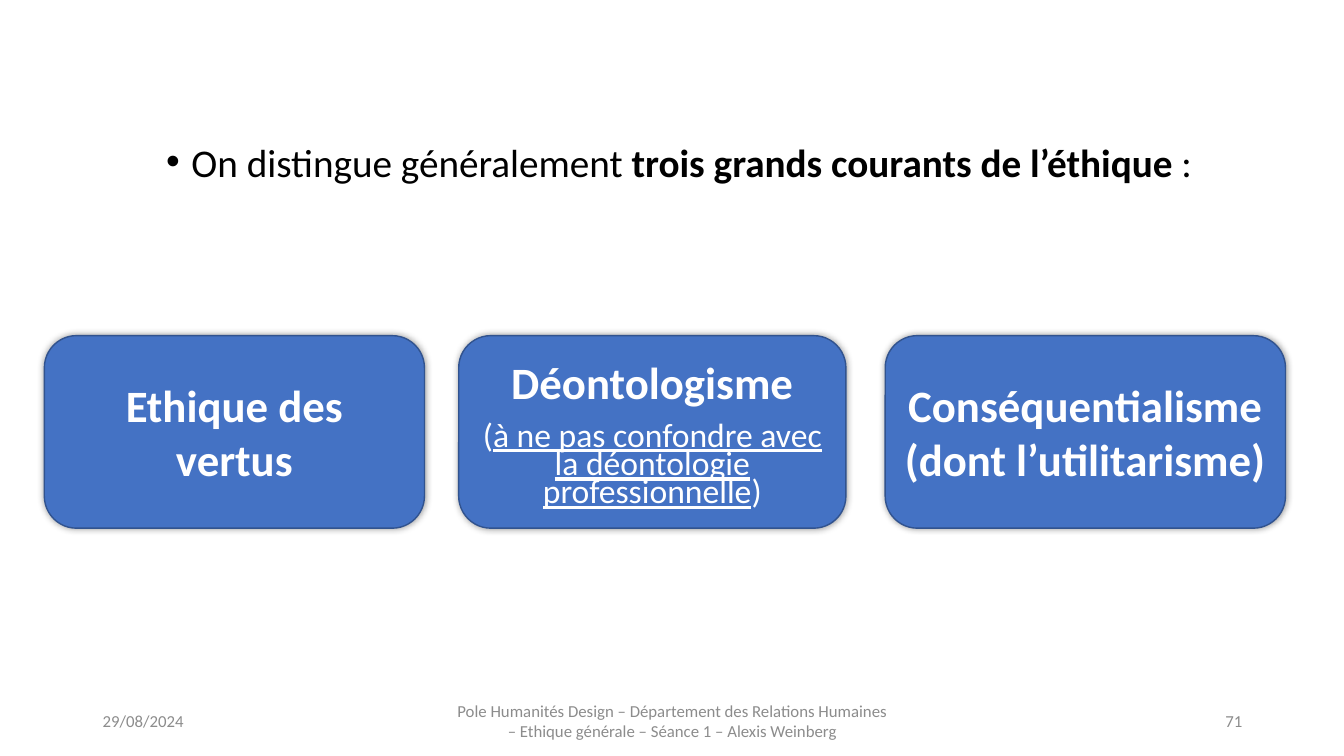
from dataclasses import dataclass

from lxml import etree
from pptx import Presentation
from pptx.dml.color import RGBColor
from pptx.enum.shapes import MSO_SHAPE
from pptx.enum.text import MSO_ANCHOR, MSO_AUTO_SIZE, PP_ALIGN
from pptx.oxml.ns import qn
from pptx.util import Inches, Pt

ROUND = MSO_SHAPE.ROUNDED_RECTANGLE
TOP, MIDDLE = MSO_ANCHOR.TOP, MSO_ANCHOR.MIDDLE
LEFT, CENTER, RIGHT = PP_ALIGN.LEFT, PP_ALIGN.CENTER, PP_ALIGN.RIGHT
NO_FIT = MSO_AUTO_SIZE.NONE


@dataclass(frozen=True)
class Theme:
    font: str = "Calibri"
    black: str = "000000"
    white: str = "FFFFFF"
    grey: str = "8C8C8C"
    blue: str = "4472C4"
    edge: str = "31538F"
    lead: int = 28
    head: int = 32
    note: int = 24
    foot: int = 12


@dataclass(frozen=True)
class Part:
    text: str
    bold: bool = False
    line: bool = False


@dataclass(frozen=True)
class Card:
    left: float
    width: float
    title: str
    note: tuple[Part, ...] = ()


@dataclass(frozen=True)
class Foot:
    left: float
    width: float
    text: str
    align: PP_ALIGN


THEME = Theme()
CARD_TOP, CARD_HIGH = 3.33, 1.91
FOOT_TOP, FOOT_HIGH = 6.95, 0.4

LEAD = (
    Part("On distingue généralement "),
    Part("trois grands courants de l’éthique ", bold=True),
    Part(":"),
)
CARDS = (
    Card(0.44, 3.77, "Ethique des vertus"),
    Card(4.55, 3.84, "Déontologisme", (
        Part("("),
        Part("à ne pas confondre avec la déontologie professionnelle", line=True),
        Part(")"),
    )),
    Card(8.78, 3.97, "Conséquentialisme (dont l’utilitarisme)"),
)
FEET = (
    Foot(0.92, 3, "29/08/2024", LEFT),
    Foot(4.42, 4.5, "Pole Humanités Design – Département des Relations Humaines "
         "– Ethique générale – Séance 1 – Alexis Weinberg", CENTER),
    Foot(9.42, 3, "71", RIGHT),
)


def style(para, size: int, color: str, align: PP_ALIGN) -> None:
    para.alignment = align
    para.font.name = THEME.font
    para.font.size = Pt(size)
    para.font.color.rgb = RGBColor.from_string(color)


def write(para, parts: tuple[Part, ...]) -> None:
    for part in parts:
        run = para.add_run()
        run.text = part.text
        run.font.bold = part.bold
        run.font.underline = part.line


def setup(frame, anchor: MSO_ANCHOR) -> None:
    frame.word_wrap = True
    frame.auto_size = NO_FIT
    frame.vertical_anchor = anchor


def bullet(para, color: str) -> None:
    props = para._p.get_or_add_pPr()
    props.set("marL", str(Inches(0.25)))
    props.set("indent", str(Inches(-0.25)))
    tint = etree.SubElement(props, qn("a:buClr"))
    etree.SubElement(tint, qn("a:srgbClr"), val=color)
    etree.SubElement(props, qn("a:buFont"), typeface="Arial")
    etree.SubElement(props, qn("a:buChar"), char="•")


def glow(shape) -> None:
    shape.shadow.inherit = False
    effects = shape._element.spPr.find(qn("a:effectLst"))
    shade = etree.SubElement(effects, qn("a:outerShdw"), blurRad=str(Pt(5)),
                             dist="0", dir="0", algn="ctr", rotWithShape="0")
    tint = etree.SubElement(shade, qn("a:srgbClr"), val=THEME.black)
    etree.SubElement(tint, qn("a:alpha"), val="40000")


def add_lead(body) -> None:
    body.left, body.top = Inches(0.44), Inches(1.41)
    body.width, body.height = Inches(12.59), Inches(1.39)
    setup(body.text_frame, TOP)
    para = body.text_frame.paragraphs[0]
    bullet(para, THEME.black)
    para.line_spacing = 0.8
    para.space_before = Pt(0)
    style(para, THEME.lead, THEME.black, CENTER)
    write(para, LEAD)


def add_card(slide, card: Card) -> None:
    shape = slide.shapes.add_shape(ROUND, Inches(card.left), Inches(CARD_TOP),
                                   Inches(card.width), Inches(CARD_HIGH))
    shape.fill.solid()
    shape.fill.fore_color.rgb = RGBColor.from_string(THEME.blue)
    shape.line.color.rgb = RGBColor.from_string(THEME.edge)
    shape.line.width = Pt(1)
    glow(shape)
    setup(shape.text_frame, MIDDLE)
    head = shape.text_frame.paragraphs[0]
    style(head, THEME.head, THEME.white, CENTER)
    write(head, (Part(card.title, bold=True),))
    if card.note:
        head.space_after = Pt(12)
        note = shape.text_frame.add_paragraph()
        note.line_spacing = 0.7
        style(note, THEME.note, THEME.white, CENTER)
        write(note, card.note)


def add_foot(slide, foot: Foot) -> None:
    box = slide.shapes.add_textbox(Inches(foot.left), Inches(FOOT_TOP),
                                   Inches(foot.width), Inches(FOOT_HIGH))
    setup(box.text_frame, MIDDLE)
    para = box.text_frame.paragraphs[0]
    style(para, THEME.foot, THEME.grey, foot.align)
    write(para, (Part(foot.text),))


def main() -> None:
    deck = Presentation()
    deck.slide_width, deck.slide_height = Inches(13.33), Inches(7.5)
    slide = deck.slides.add_slide(deck.slide_layouts[1])

    # The slide has no title
    title = slide.shapes.title._element
    title.getparent().remove(title)

    # Lead sentence
    add_lead(slide.placeholders[1])

    # Three schools of ethics
    for card in CARDS:
        add_card(slide, card)

    # Date, footer and page number
    for foot in FEET:
        add_foot(slide, foot)

    deck.save("out.pptx")


if __name__ == "__main__":
    main()
